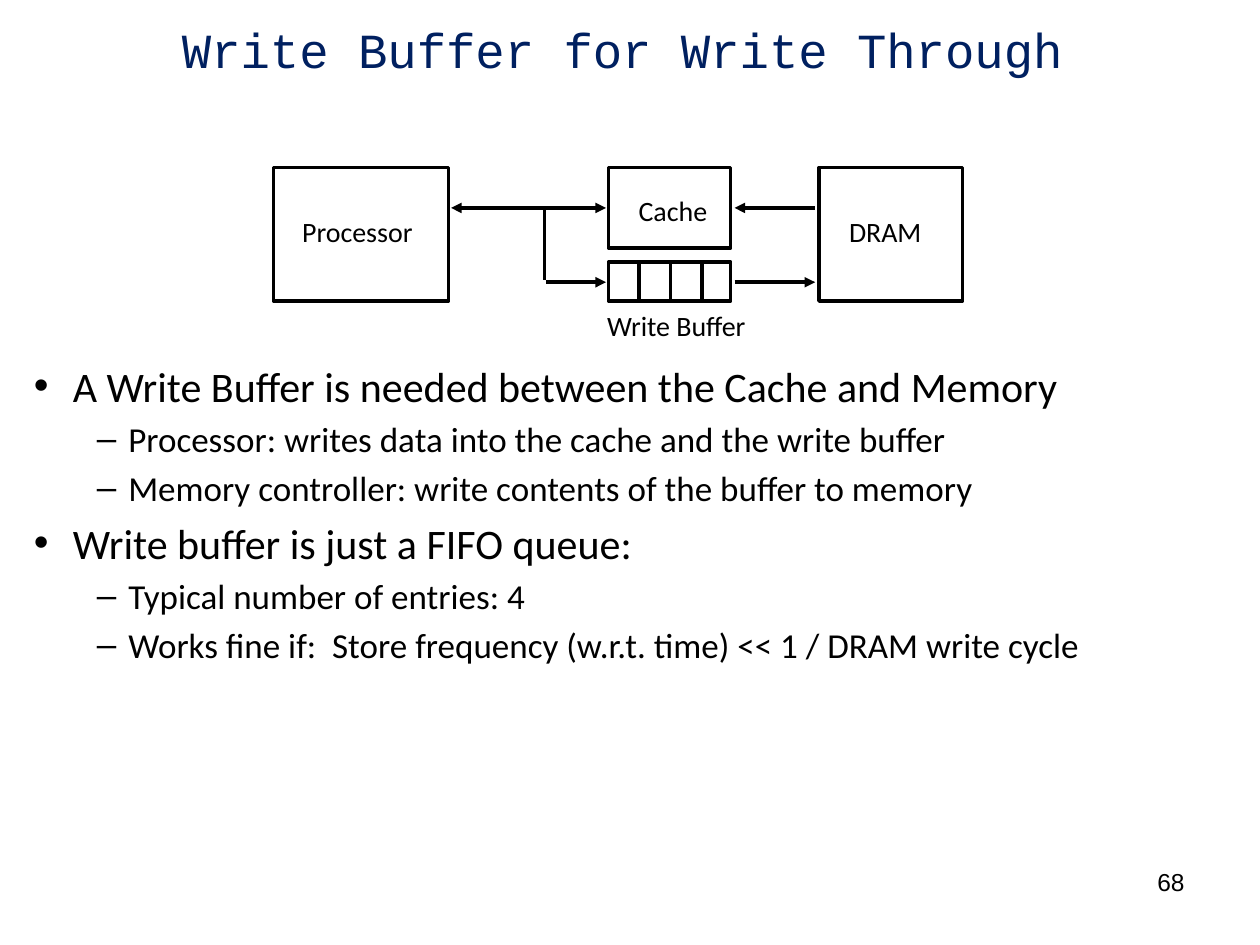
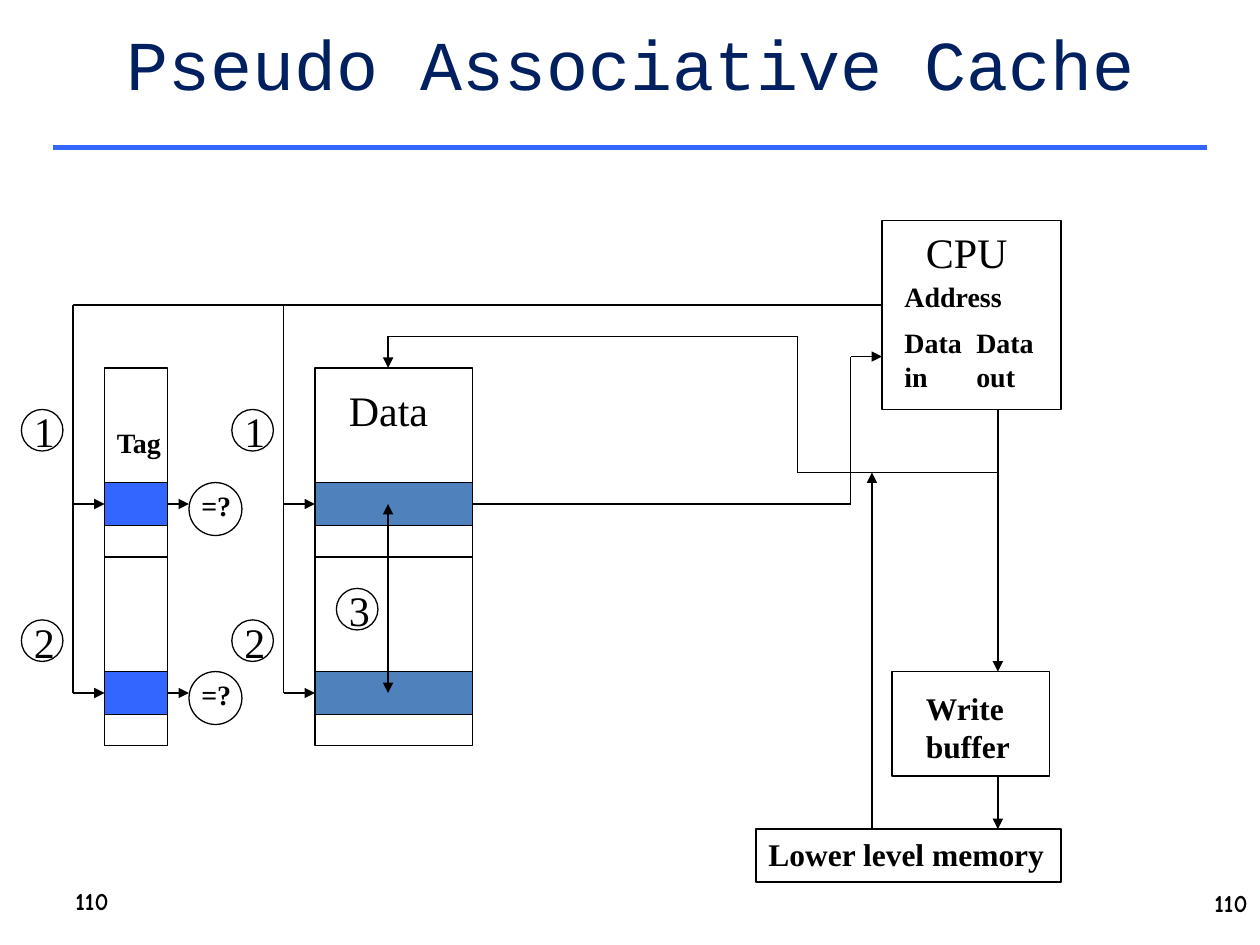
from itertools import pairwise

from lxml import etree
from pptx import Presentation
from pptx.dml.color import RGBColor
from pptx.enum.shapes import MSO_CONNECTOR, MSO_SHAPE
from pptx.enum.text import MSO_ANCHOR, PP_ALIGN
from pptx.oxml.ns import qn
from pptx.util import Inches, Pt

RECT, OVAL = MSO_SHAPE.RECTANGLE, MSO_SHAPE.OVAL
STRAIGHT = MSO_CONNECTOR.STRAIGHT
LEFT, CENTER, RIGHT = PP_ALIGN.LEFT, PP_ALIGN.CENTER, PP_ALIGN.RIGHT
TOP, MIDDLE = MSO_ANCHOR.TOP, MSO_ANCHOR.MIDDLE
LEFT_SIDE, RIGHT_SIDE = 1, 3

BLACK = RGBColor(0x00, 0x00, 0x00)
NAVY = RGBColor(0x00, 0x20, 0x60)
BLUE = RGBColor(0x33, 0x66, 0xFF)
STEEL = RGBColor(0x4F, 0x81, 0xBD)

TITLE_FONT, BODY_FONT, SERIF = "Courier New", "Calibri", "Times New Roman"
THIN, THICK = 0.75, 2

# bullet, left margin, hanging indent, size, space before
BULLETS = [("•", 0.31, 0.31, 24, 4.8), ("–", 0.75, 0.25, 20, 4)]
WRITE_BUFFER_POINTS = [
    (0, "A Write Buffer is needed between the Cache and Memory"),
    (1, "Processor: writes data into the cache and the write buffer"),
    (1, "Memory controller: write contents of the buffer to memory"),
    (0, "Write buffer is just a FIFO queue:"),
    (1, "Typical number of entries: 4"),
    (1, "Works fine if:  Store frequency (w.r.t. time) << 1 / DRAM write cycle"),
]


def format_runs(p, font, size, color=BLACK, bold=False):
    for r in p.runs:
        r.font.name = font
        r.font.size = Pt(size)
        r.font.color.rgb = color
        r.font.bold = bold


def add_text(slide, text, x, y, w, h, size, font=SERIF, bold=False,
             align=LEFT, anchor=TOP):
    sp = slide.shapes.add_textbox(Inches(x), Inches(y), Inches(w), Inches(h))
    tf = sp.text_frame
    tf.word_wrap = True
    tf.vertical_anchor = anchor
    tf.text = text
    for p in tf.paragraphs:
        p.alignment = align
        format_runs(p, font, size, bold=bold)
    return tf


def add_box(slide, kind, x, y, w, h, fill=None, width=THIN):
    sp = slide.shapes.add_shape(kind, Inches(x), Inches(y), Inches(w), Inches(h))
    sp.shadow.inherit = False
    if fill is None:
        sp.fill.background()
    else:
        sp.fill.solid()
        sp.fill.fore_color.rgb = fill
    sp.line.color.rgb = BLACK
    sp.line.width = Pt(width)
    return sp


def add_line(slide, start, end, width=THIN, color=BLACK, head=False, tail=False):
    """Straight line; head and tail put an arrowhead at start and end."""
    line = slide.shapes.add_connector(STRAIGHT, *map(Inches, start + end))
    line.line.color.rgb = color
    line.line.width = Pt(width)
    spPr = line._element.spPr
    ln = spPr.find(qn("a:ln"))
    for tag, wanted in (("a:headEnd", head), ("a:tailEnd", tail)):
        if wanted:
            etree.SubElement(ln, qn(tag), type="triangle")
    etree.SubElement(spPr, qn("a:effectLst"))
    return line


def add_path(slide, points, tail=False):
    """Chain of lines through the points; returns the lines."""
    last = len(points) - 2
    return [add_line(slide, a, b, tail=tail and i == last)
            for i, (a, b) in enumerate(pairwise(points))]


def add_titled_slide(prs, title, x, y, w, h, size):
    slide = prs.slides.add_slide(prs.slide_layouts[5])
    sp = slide.shapes.title
    sp.left, sp.top, sp.width, sp.height = map(Inches, (x, y, w, h))
    tf = sp.text_frame
    tf.vertical_anchor = MIDDLE
    tf.text = title
    p = tf.paragraphs[0]
    p.alignment = CENTER
    format_runs(p, TITLE_FONT, size, NAVY)
    return slide


def add_bullets(slide, points, x, y, w, h):
    tf = add_text(slide, "\n".join(text for _, text in points), x, y, w, h, 24)
    for i, (p, (level, _)) in enumerate(zip(tf.paragraphs, points)):
        char, margin, hang, size, before = BULLETS[level]
        p.level = level
        if i:
            p.space_before = Pt(before)
        pPr = p._p.get_or_add_pPr()
        pPr.set("marL", str(Inches(margin)))
        pPr.set("indent", str(-Inches(hang)))
        etree.SubElement(pPr, qn("a:buFont"), typeface="Arial")
        etree.SubElement(pPr, qn("a:buChar"), char=char)
        format_runs(p, BODY_FONT, size)


def add_write_through_diagram(slide, x, y):
    cache_x, dram_x = x + 2.66, x + 4.33
    read_y, write_y = y + 0.32, y + 0.91
    buffer_y, buffer_h = y + 0.75, 0.31

    for left, top, w, h in ((x, y, 1.39, 1.06), (cache_x, y, 0.97, 0.64),
                            (cache_x, buffer_y, 0.97, buffer_h),
                            (dram_x, y, 1.14, 1.06)):
        add_box(slide, RECT, left, top, w, h, width=THICK)
    for i in range(3):
        divider_x = cache_x + 0.24 + 0.25 * i
        add_line(slide, (divider_x, buffer_y), (divider_x, buffer_y + buffer_h), THICK)

    for text, left, top, w in (("Processor", x + 0.13, y + 0.32, 1.12),
                               ("Cache", cache_x + 0.14, y + 0.16, 0.79),
                               ("Write Buffer", x + 2.55, y + 1.07, 1.43),
                               ("DRAM", dram_x + 0.14, y + 0.32, 0.89)):
        add_text(slide, text, left, top, w, 0.36, 16, BODY_FONT)

    for start, end, level, head, tail in ((1.41, 2.64, read_y, True, True),
                                          (3.66, 4.3, read_y, True, False),
                                          (2.16, 2.64, write_y, False, True),
                                          (3.66, 4.3, write_y, False, True)):
        add_line(slide, (x + start, level), (x + end, level), THICK,
                 head=head, tail=tail)
    add_line(slide, (x + 2.15, y + 0.34), (x + 2.15, y + 0.89), THICK)


def add_step(slide, number, x, y):
    add_box(slide, OVAL, x, y, 0.33, 0.33)
    add_text(slide, number, x, y - 0.08, 0.42, 0.5, 24)


def add_array(slide, x, y, w, fill):
    """Two banks, each with a selected row fed by the address bus; returns the rows."""
    bank_h, row_h = 1.5, 0.34
    bus_x = x - 0.25
    rows = []
    for bank in range(2):
        bank_y = y + bank * bank_h
        row_y = bank_y + 1.08
        add_box(slide, RECT, x, bank_y, w, bank_h)
        row = add_box(slide, RECT, x, row_y - row_h / 2, w, row_h, fill)
        arrow = add_line(slide, (bus_x, row_y), (x, row_y), tail=True)
        arrow.end_connect(row, LEFT_SIDE)
        add_step(slide, str(bank + 1), x - 0.66, y + 0.33 + bank * 1.67)
        rows.append(row)
    add_line(slide, (bus_x, y - 0.5), (bus_x, y + 2.58))
    return rows


def add_tag_array(slide, x, y):
    rows = add_array(slide, x, y, 0.5, BLUE)
    add_text(slide, "Tag", x, y + 0.41, 0.58, 0.37, 16, bold=True)
    for bank, row in enumerate(rows):
        row_y = y + 1.08 + 1.5 * bank
        compare_x, compare_y = x + 0.67, row_y - 0.17
        add_box(slide, OVAL, compare_x, compare_y, 0.42, 0.42)
        add_text(slide, "=?", compare_x, compare_y, 0.5, 0.37, 16, bold=True)
        arrow = add_line(slide, (x + 0.5, row_y), (compare_x, row_y), tail=True)
        arrow.begin_connect(row, RIGHT_SIDE)


def add_data_array(slide, x, y):
    """Data array with its swap arrow; returns the first selected row."""
    rows = add_array(slide, x, y, 1.25, STEEL)
    add_text(slide, "Data", x + 0.17, y + 0.08, 0.92, 0.5, 24)
    add_line(slide, (x + 0.58, y + 1.08), (x + 0.58, y + 2.58), head=True, tail=True)
    add_step(slide, "3", x + 0.17, y + 1.75)
    return rows[0]


def add_cpu(slide, x, y):
    add_box(slide, RECT, x, y, 1.42, 1.5)
    add_text(slide, "CPU", x + 0.25, y, 0.92, 0.5, 24)
    tf = add_text(slide, "Address\nData\tData\nin\tout",
                  x + 0.08, y + 0.42, 1.25, 1.02, 16, bold=True)
    tf.paragraphs[0].space_after = Pt(7.2)
    for p in tf.paragraphs[1:]:
        tabs = etree.SubElement(p._p.get_or_add_pPr(), qn("a:tabLst"))
        etree.SubElement(tabs, qn("a:tab"), pos=str(Inches(0.57)), algn="l")


def add_lower_memory(slide, x, y):
    add_box(slide, RECT, x + 1.08, y, 1.25, 0.83)
    add_text(slide, "Write buffer", x + 1.25, y + 0.09, 1, 0.7, 18, bold=True)
    add_box(slide, RECT, x, y + 1.25, 2.42, 0.42)
    add_text(slide, "Lower level memory", x, y + 1.25, 2.42, 0.4, 18, bold=True)
    add_line(slide, (x + 1.92, y + 0.83), (x + 1.92, y + 1.25), tail=True)


def add_buses(slide, x, y, data_row):
    """Lines between arrays, CPU and memory; x, y is the address bus corner."""
    def at(*points):
        return [(x + dx, y + dy) for dx, dy in points]

    add_path(slide, at((6.42, 0), (0, 0)))
    read = add_path(slide, at((3.17, 1.58), (6.17, 1.58), (6.17, 0.41), (6.42, 0.41)),
                    tail=True)
    read[0].begin_connect(data_row, RIGHT_SIDE)
    add_path(slide, at((7.34, 1.33), (5.75, 1.33), (5.75, 0.25), (2.5, 0.25),
                       (2.5, 0.5)), tail=True)
    add_path(slide, at((7.34, 0.83), (7.34, 2.91)), tail=True)
    add_path(slide, at((6.34, 4.16), (6.34, 1.33)), tail=True)


def build_write_buffer_slide(prs):
    slide = add_titled_slide(prs, "Write Buffer for Write Through",
                             0.91, 0.08, 8.06, 0.61, 28)
    add_bullets(slide, WRITE_BUFFER_POINTS, 0.17, 2.81, 9.36, 3.72)
    add_write_through_diagram(slide, 2.17, 1.33)
    add_text(slide, "68", 7.17, 6.83, 2.33, 0.52, 14, "Arial", align=RIGHT)


def build_pseudo_associative_slide(prs):
    slide = add_titled_slide(prs, "Pseudo Associative Cache", 0.75, 0, 8.5, 1, 40)
    add_line(slide, (0.42, 1.17), (9.58, 1.17), 3, BLUE)
    add_tag_array(slide, 0.83, 2.92)
    data_row = add_data_array(slide, 2.5, 2.92)
    add_cpu(slide, 7, 1.75)
    add_lower_memory(slide, 6, 5.33)
    add_buses(slide, 0.58, 2.42, data_row)
    add_text(slide, "110", 0.5, 6.95, 2.33, 0.4, 14, "Comic Neue", True, anchor=MIDDLE)
    add_text(slide, "110", 7.92, 7, 2.08, 0.5, 14, "Comic Neue", True, RIGHT)


def main():
    prs = Presentation()
    prs.slide_width, prs.slide_height = Inches(10), Inches(7.5)
    build_write_buffer_slide(prs)
    build_pseudo_associative_slide(prs)
    prs.save("out.pptx")


if __name__ == "__main__":
    main()
